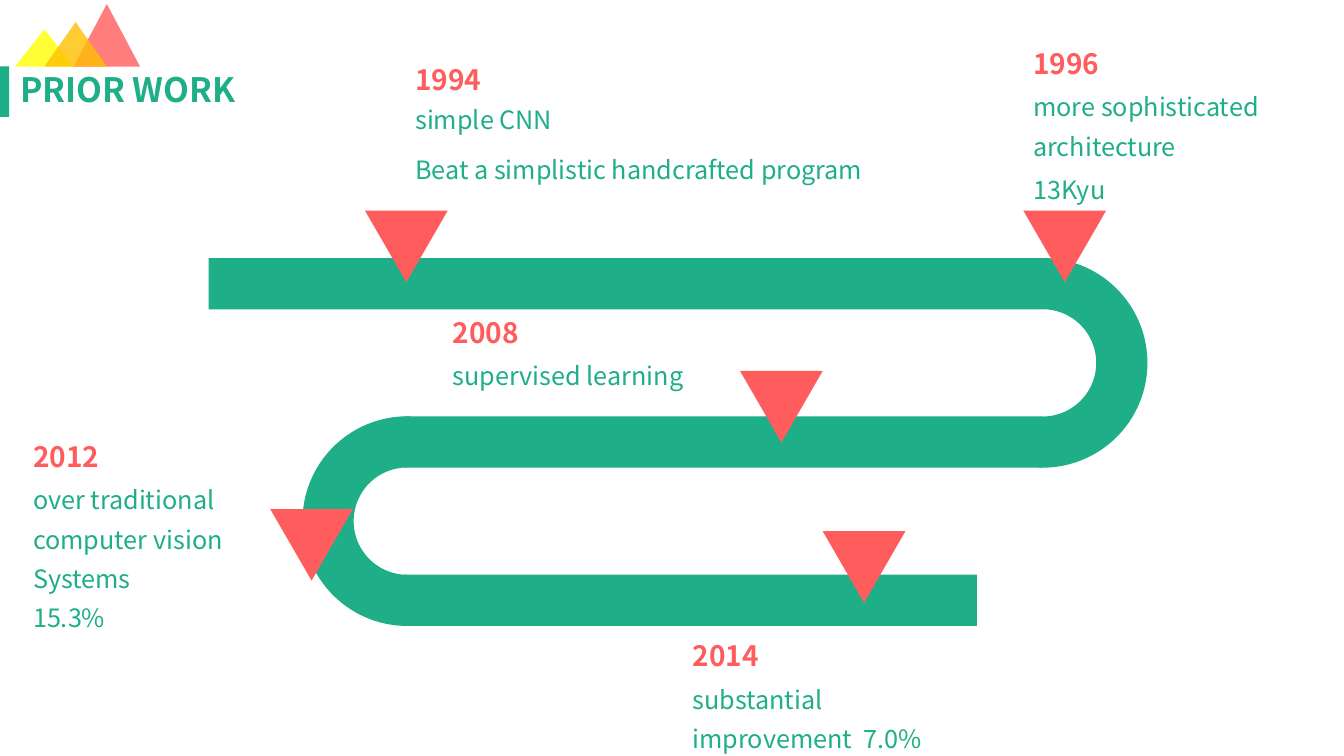
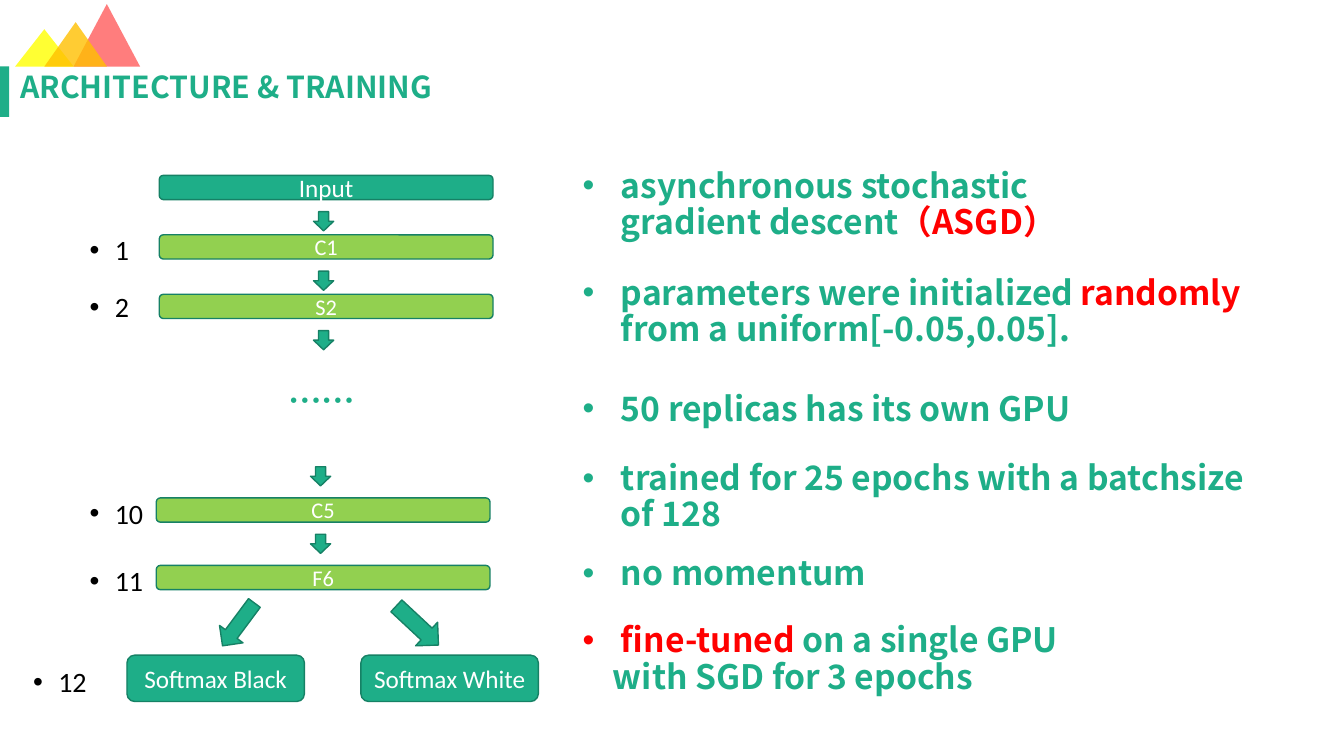
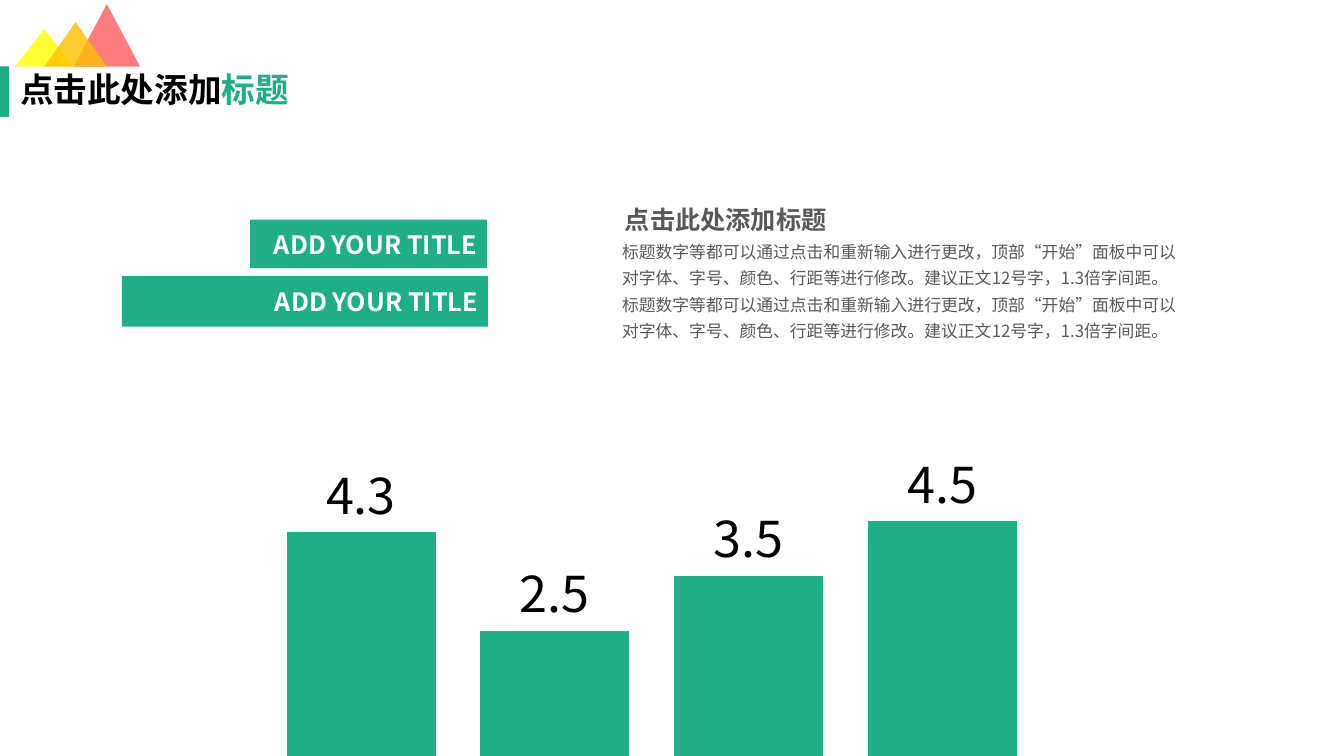
from lxml.etree import SubElement
from pptx import Presentation
from pptx.chart.data import CategoryChartData
from pptx.dml.color import RGBColor
from pptx.enum.chart import XL_CHART_TYPE as ChartType, XL_LABEL_POSITION as LabelPosition
from pptx.enum.shapes import MSO_SHAPE as Preset
from pptx.enum.text import MSO_ANCHOR as Anchor, MSO_AUTO_SIZE as AutoSize, PP_ALIGN as Align
from pptx.oxml import parse_xml
from pptx.oxml.ns import nsdecls, qn
from pptx.util import Inches, Pt

COLORS = {
    "green": "1EAE88", "edge": "168165", "lime": "92D050", "coral": "FF5D5D",
    "yellow": "FFFF00", "amber": "FFC000", "red": "FF0000",
    "black": "000000", "white": "FFFFFF", "gray": "595959",
}
SANS = "Noto Sans CJK SC"
LATIN = "Calibri"
HEADING = "League Spartan"
INSETS = (0.1, 0.05)


def rgb(name):
    return RGBColor.from_string(COLORS[name])


def inches(box):
    return [Inches(length) for length in box]


def add_span(para, text, size, color, bold=False, font=SANS):
    span = para.add_run()
    span.text = text
    span.font.size = Pt(size)
    span.font.bold = bold
    span.font.name = font
    span.font.color.rgb = rgb(color)
    east_asian = SubElement(span.font._element, qn("a:ea"))
    east_asian.set("typeface", SANS)


def set_bullet(para, indent):
    properties = para._p.get_or_add_pPr()
    properties.set("marL", str(Inches(indent)))
    properties.set("indent", str(-Inches(indent)))
    SubElement(properties, qn("a:buFont")).set("typeface", "Arial")
    SubElement(properties, qn("a:buChar")).set("char", "•")


def prepare_frame(frame, insets=INSETS, anchor=Anchor.TOP):
    frame.word_wrap = True
    frame.auto_size = AutoSize.NONE
    frame.vertical_anchor = anchor
    frame.margin_left = frame.margin_right = Inches(insets[0])
    frame.margin_top = frame.margin_bottom = Inches(insets[1])
    return frame


def add_text(slide, box, lines, size, color, spacing=1.0, bullet=0, insets=INSETS, **style):
    """Write each line, a string or a list of (text, color) pairs, as a paragraph."""
    frame = prepare_frame(slide.shapes.add_textbox(*inches(box)).text_frame, insets)
    for index, line in enumerate(lines):
        para = frame.paragraphs[0] if index == 0 else frame.add_paragraph()
        para.line_spacing = spacing
        if bullet and index == 0:
            set_bullet(para, bullet)
        for text, tint in [(line, color)] if isinstance(line, str) else line:
            add_span(para, text, size, tint, **style)
    return frame


def add_block(slide, preset, box, fill, edge=None, turn=0, opacity=None):
    shape = slide.shapes.add_shape(preset, *inches(box))
    shape.shadow.inherit = False
    shape.rotation = turn
    shape.fill.solid()
    shape.fill.fore_color.rgb = rgb(fill)
    if opacity:
        tint = shape.fill._xPr.find(".//" + qn("a:srgbClr"))
        SubElement(tint, qn("a:alpha")).set("val", str(opacity * 1000))
    if edge:
        shape.line.color.rgb = rgb(edge)
        shape.line.width = Pt(1)
    else:
        shape.line.fill.background()
    return shape


def label_block(shape, text, size, align=Align.CENTER, **style):
    para = prepare_frame(shape.text_frame, anchor=Anchor.MIDDLE).paragraphs[0]
    para.alignment = align
    add_span(para, text, size, "white", **style)


def decorate_layout(layout, slide):
    """Draw the peaks and the title band once and hand them to the layout."""
    peaks = [
        ((0.73, 0.04, 0.66, 0.62), "coral"),
        ((0.15, 0.29, 0.58, 0.37), "yellow"),
        ((0.44, 0.22, 0.62, 0.44), "amber"),
    ]
    parts = [add_block(slide, Preset.ISOSCELES_TRIANGLE, box, fill, opacity=80)
             for box, fill in peaks]
    parts.append(add_block(slide, Preset.RECTANGLE, (0, 0.66, 0.09, 0.5), "green"))
    for part in parts:
        layout.element.cSld.spTree.append(part.element)


def add_titled_slide(deck, spans, size=24, width=3.04, height=0.46):
    slide = deck.slides.add_slide(deck.slide_layouts[5])
    title = slide.shapes.title
    title.left, title.top, title.width, title.height = inches((0.1, 0.68, width, height))
    para = prepare_frame(title.text_frame, anchor=Anchor.MIDDLE).paragraphs[0]
    para.alignment = Align.LEFT
    para.line_spacing = 0.9
    for text, color in spans:
        add_span(para, text, size, color, bold=True)
    return slide


def add_road(slide, left, top):
    """Draw three lanes joined by a right and a left bend."""
    lane, pitch = 0.51, 1.57
    bend = lane + pitch
    for row, (offset, length) in enumerate([(0, 8.28), (1.94, 6.33), (1.94, 5.68)]):
        box = (left + offset, top + row * pitch, length, lane)
        add_block(slide, Preset.RECTANGLE, box, "green")
    for row, (offset, turn) in enumerate([(7.23, 90), (0.93, 270)]):
        box = (left + offset, top + row * pitch, bend, bend)
        arc = add_block(slide, Preset.BLOCK_ARC, box, "green", turn=turn)
        for index, value in enumerate((108, 1.142, 0.244)):
            arc.adjustments[index] = value


def add_milestone(slide, left, top, year, notes, width=2.95):
    """Write a year and, below it, notes given as (offset, lines) pairs."""
    add_text(slide, (left, top, 2.95, 0.44), [year], 20, "coral", bold=True)
    for offset, lines in notes:
        box = (left, top + offset, width, 0.1 + 0.38 * len(lines))
        add_text(slide, box, lines, 18, "green", spacing=1.3)


def build_prior_work(deck):
    slide = add_titled_slide(deck, [("PRIOR WORK", "green")])
    add_road(slide, 2.07, 2.56)
    for left, top in [(3.62, 2.09), (10.15, 2.09), (7.34, 3.68), (2.68, 5.05), (8.16, 5.27)]:
        add_block(slide, Preset.ISOSCELES_TRIANGLE, (left, top, 0.82, 0.71), "coral", turn=180)
    add_milestone(slide, 4.02, 0.57, "1994", [
        (0.33, ["simple CNN"]), (0.82, ["Beat a simplistic handcrafted program"])], 5.07)
    add_milestone(slide, 10.15, 0.41, "1996", [
        (0.36, ["more sophisticated", "architecture"]), (1.18, ["13Kyu"])])
    add_milestone(slide, 4.39, 3.08, "2008", [(0.36, ["supervised learning"])])
    add_milestone(slide, 0.23, 4.31, "2012", [
        (0.36, ["over traditional computer vision", "Systems", "15.3%"])], 2.76)
    add_milestone(slide, 6.77, 6.29, "2014", [
        (0.36, ["substantial improvement  7.0%"])], 2.76)


def add_layer_stack(slide, left, top, pitch, layers, arrow_rows):
    """Stack layer bars at an equal pitch, with an arrow below each given row."""
    width, height = 3.31, 0.24
    for row, (text, fill, size) in enumerate(layers):
        box = (left, top + row * pitch, width, height)
        bar = add_block(slide, Preset.ROUNDED_RECTANGLE, box, fill, "edge")
        label_block(bar, text, size, font=LATIN)
    for row in arrow_rows:
        box = (left + 1.53, top + 0.36 + row * pitch, 0.2, 0.19)
        add_block(slide, Preset.DOWN_ARROW, box, "green", "edge")


def add_network(slide, left, top):
    """Draw the layers from the input down to the two outputs."""
    add_layer_stack(slide, left + 0.32, top, 0.59, [
        ("Input", "green", 18), ("C1", "lime", 16), ("S2", "lime", 16)], (0, 1, 2))
    add_text(slide, (left + 1.5, top + 2.03, 0.95, 0.53), ["……"], 24, "green", 0.9, bold=True)
    add_layer_stack(slide, left + 0.29, top + 3.2, 0.67, [
        ("C5", "lime", 16), ("F6", "lime", 16)], (-1, 0))
    for box, turn in [((left + 0.96, top + 4.19, 0.29, 0.53), 36.6),
                      ((left + 2.72, top + 4.18, 0.32, 0.57), 313)]:
        add_block(slide, Preset.DOWN_ARROW, box, "green", "edge", turn)
    for column, text in enumerate(["Softmax Black", "Softmax White"]):
        box = (left + column * 2.32, top + 4.76, 1.76, 0.46)
        output = add_block(slide, Preset.ROUNDED_RECTANGLE, box, "green", "edge")
        label_block(output, text, 18, font=LATIN)


def build_architecture(deck):
    slide = add_titled_slide(deck, [("ARCHITECTURE & TRAINING", "green")], 21.6, 4.76, 0.4)
    add_network(slide, 1.26, 1.74)
    for left, top, number in [(0.79, 2.3, "1"), (0.79, 2.86, "2"), (0.79, 4.91, "10"),
                              (0.79, 5.58, "11"), (0.23, 6.58, "12")]:
        add_text(slide, (left, top, 0.76, 0.3), [number], 20, "black", 0.9, 0.25, font=LATIN)
    facts = [
        (1.63, 5.2, [[("asynchronous stochastic gradient descent", "green"), ("（ASGD）", "red")]]),
        (2.69, 6.89, [[("parameters were initialized ", "green"), ("randomly", "red"),
                       (" from a uniform[-0.05,0.05].", "green")]]),
        (3.84, 6.89, ["50 replicas has its own GPU"]),
        (4.53, 6.89, ["trained for 25 epochs with a batchsize of 128"]),
        (5.47, 6.89, ["no momentum"]),
        (6.14, 6.89, [[("fine-tuned ", "red"), ("on a single GPU", "green")],
                      "with SGD for 3 epochs"]),
    ]
    for top, width, lines in facts:
        frame = add_text(slide, (5.68, top, width, 0.45 * len(lines)), lines, 24, "green",
                         0.9, 0.38, bold=True)
        for para in frame.paragraphs[1:]:
            para._p.get_or_add_pPr().set("marL", str(Inches(0.3)))


def add_column_chart(slide, box):
    data = CategoryChartData()
    data.categories = ["1", "2", "3", "4"]
    data.add_series("Series 1", (4.3, 2.5, 3.5, 4.5))
    chart = slide.shapes.add_chart(ChartType.COLUMN_CLUSTERED, *inches(box), data).chart
    chart.has_legend = chart.has_title = False
    chart.font.size = Pt(10)
    chart.font.name = LATIN
    chart.font.color.rgb = rgb("black")
    chart.category_axis.visible = False
    values = chart.value_axis
    values.visible = values.has_major_gridlines = False
    values.minimum_scale, values.maximum_scale = 0, 5
    plot = chart.plots[0]
    plot.gap_width, plot.overlap, plot.vary_by_categories = 30, 35, False
    fill = plot.series[0].format.fill
    fill.solid()
    fill.fore_color.rgb = rgb("green")
    labels = plot.series[0].data_labels
    labels.show_value = True
    labels.position = LabelPosition.OUTSIDE_END
    labels.font.size = Pt(36)
    labels.font.name = SANS
    area = chart.element.find(".//" + qn("c:plotArea"))
    for layout in area.findall(qn("c:layout")):
        area.remove(layout)
    shares = {"x": 0.02, "y": 0.13, "w": 0.96, "h": 0.85}
    places = "".join(f'<c:{key} val="{share}"/>' for key, share in shares.items())
    area.insert(0, parse_xml(
        f'<c:layout {nsdecls("c")}><c:manualLayout><c:layoutTarget val="inner"/>'
        f'<c:xMode val="edge"/><c:yMode val="edge"/>{places}</c:manualLayout></c:layout>'))


def build_chart_slide(deck):
    slide = add_titled_slide(deck, [("点击此处添加", "black"), ("标题", "green")])
    add_column_chart(slide, (2.46, 4.42, 8.01, 3.26))
    sentence = ("标题数字等都可以通过点击和重新输入进行更改，顶部“开始”面板中可以"
                "对字体、字号、颜色、行距等进行修改。建议正文12号字，1.3倍字间距。")
    add_text(slide, (6.1, 2.3, 5.71, 1.39), [sentence * 2], 12, "gray", 1.3, insets=(0.07, 0.04))
    add_text(slide, (6.1, 1.98, 2.53, 0.4), ["点击此处添加标题"], 18, "gray",
             bold=True, font=HEADING)
    for box in [(2.48, 2.18, 2.35, 0.48), (1.21, 2.74, 3.63, 0.5)]:
        banner = add_block(slide, Preset.RECTANGLE, box, "green")
        label_block(banner, "ADD YOUR TITLE", 18, Align.RIGHT, bold=True)


def main():
    deck = Presentation()
    deck.slide_width, deck.slide_height = inches((13.33, 7.5))
    build_prior_work(deck)
    build_architecture(deck)
    build_chart_slide(deck)
    decorate_layout(deck.slide_layouts[5], deck.slides[0])
    deck.save("out.pptx")


if __name__ == "__main__":
    main()
